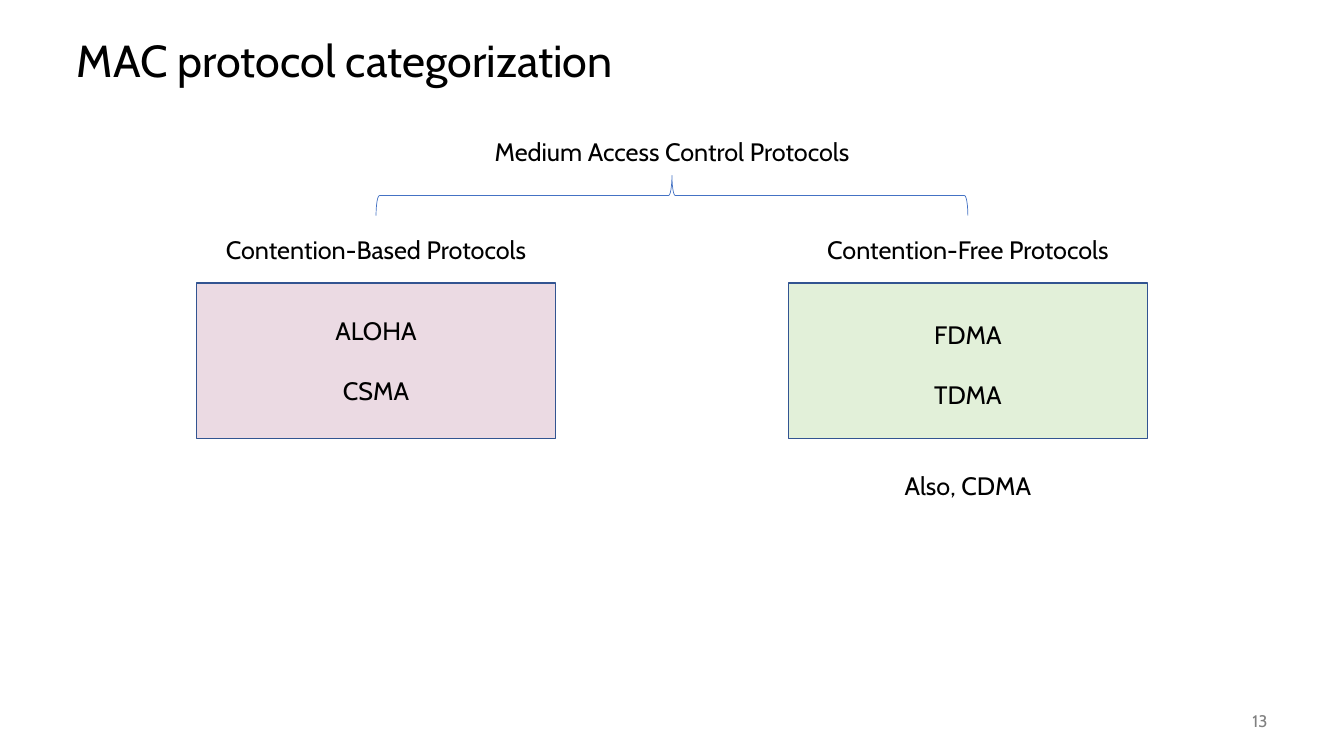
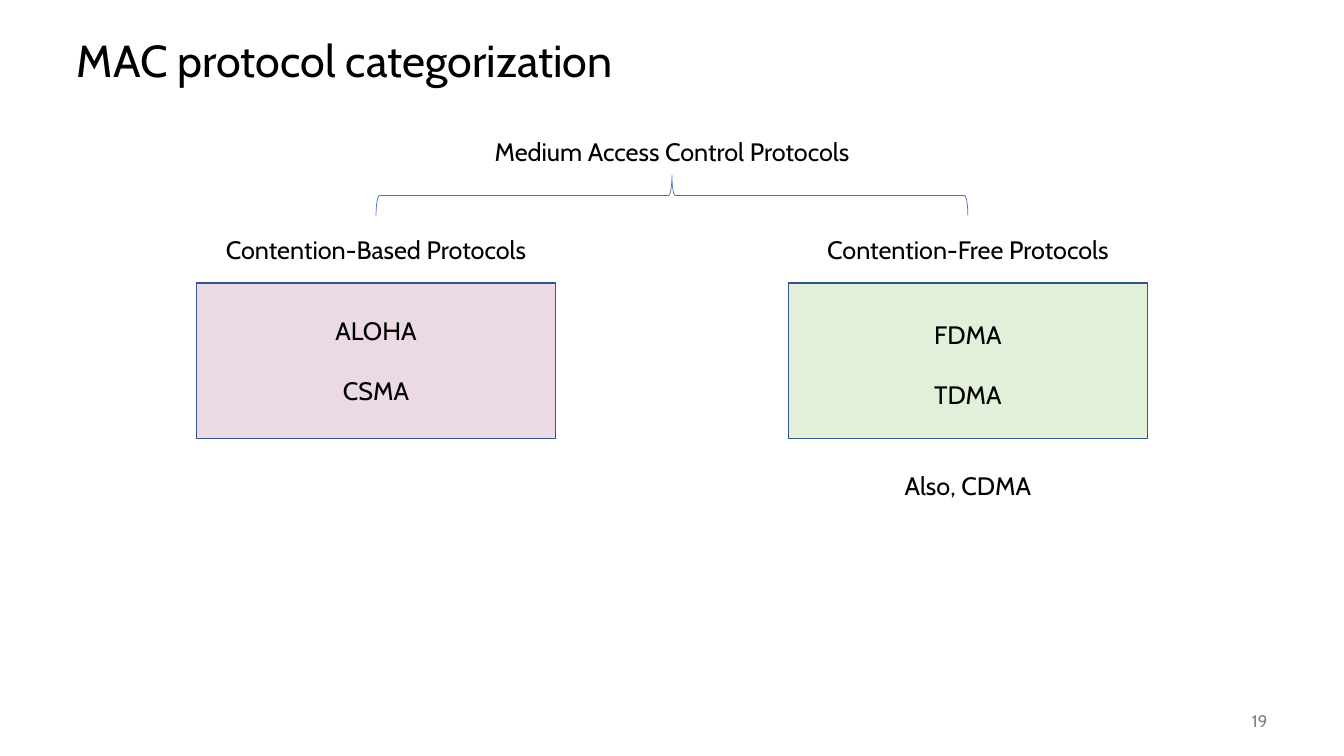
"""Build two slides that sort MAC protocols into contention-based and contention-free."""
import pptx
import pptx.util
import pptx.dml.color
import pptx.enum.shapes
import pptx.enum.text

Inches, Pt = pptx.util.Inches, pptx.util.Pt
RGBColor = pptx.dml.color.RGBColor
SHAPE = pptx.enum.shapes.MSO_SHAPE
ALIGN = pptx.enum.text.PP_ALIGN
ANCHOR = pptx.enum.text.MSO_ANCHOR
AUTO_SIZE = pptx.enum.text.MSO_AUTO_SIZE

BLACK = RGBColor(0x00, 0x00, 0x00)
GRAY = RGBColor(0x80, 0x80, 0x80)
PINK = RGBColor(0xEB, 0xDA, 0xE3)
GREEN = RGBColor(0xE2, 0xF0, 0xD9)
NAVY = RGBColor(0x32, 0x54, 0x91)
BLUE = RGBColor(0x44, 0x72, 0xC4)
FONT = "Cabin"

TITLE = "MAC protocol categorization"
ROOT = "Medium Access Control Protocols"
PAGE_NUMBERS = ["13", "19"]
LINE = 21.5
GROUPS = [
    {"label": "Contention-Based Protocols", "center": 3.73, "fill": PINK,
     "top": 3.08, "height": 1.01, "items": ["ALOHA", "CSMA"], "gaps": [0, LINE]},
    {"label": "Contention-Free Protocols", "center": 9.6, "fill": GREEN,
     "top": 3.12, "height": 1.92, "items": ["FDMA", "TDMA", "Also, CDMA"],
     "gaps": [0, LINE, 2 * LINE]},
]

BOX_W, BOX_H, BOX_TOP = 3.56, 1.54, 2.81
LABEL_W, LABEL_H = 4.3, 0.4
BRACE_DEPTH, BRACE_Y = 0.4, 1.94


def format_text(tf, size, color, align):
    """Apply the shared font and the given size, colour and alignment."""
    for p in tf.paragraphs:
        p.alignment = align
        for r in p.runs:
            r.font.name, r.font.size = FONT, Pt(size)
            r.font.color.rgb = color


def add_text(slide, lines, left, top, width, height,
             size=18, color=BLACK, align=ALIGN.CENTER):
    """Add a wrapped text box with one paragraph per line."""
    box = slide.shapes.add_textbox(Inches(left), Inches(top), Inches(width), Inches(height))
    tf = box.text_frame
    tf.word_wrap = True
    tf.text = "\n".join(lines)
    format_text(tf, size, color, align)
    return tf


def add_outline(slide, kind, left, top, width, height, color, weight):
    """Add an unfilled preset shape with a coloured outline."""
    sp = slide.shapes.add_shape(kind, Inches(left), Inches(top), Inches(width), Inches(height))
    sp.shadow.inherit = False
    sp.fill.background()
    sp.line.color.rgb = color
    sp.line.width = Pt(weight)
    return sp


def add_frame(slide, number):
    """Fill the title and the page number."""
    title = slide.shapes.title
    title.left, title.top = Inches(0.66), Inches(0.25)
    title.width, title.height = Inches(12), Inches(0.75)
    tf = title.text_frame
    tf.text = TITLE
    tf.auto_size = AUTO_SIZE.NONE
    tf.vertical_anchor = ANCHOR.MIDDLE
    tf.paragraphs[0].line_spacing = 0.9
    format_text(tf, 32, BLACK, ALIGN.LEFT)
    tf = add_text(slide, [number], 11.67, 6.95, 1, 0.4, 12, GRAY, ALIGN.RIGHT)
    tf.vertical_anchor = ANCHOR.MIDDLE


def add_group(slide, group):
    """Add one protocol family: label, coloured box and its members."""
    center = group["center"]
    left = center - BOX_W / 2
    sp = add_outline(slide, SHAPE.RECTANGLE, left, BOX_TOP, BOX_W, BOX_H, NAVY, 1)
    sp.fill.solid()
    sp.fill.fore_color.rgb = group["fill"]
    add_text(slide, [group["label"]], center - LABEL_W / 2, 2.28, LABEL_W, LABEL_H)
    tf = add_text(slide, group["items"], left, group["top"], BOX_W, group["height"])
    for p, gap in zip(tf.paragraphs, group["gaps"]):
        if gap:
            p.space_before = Pt(gap)


def add_root(slide):
    """Add the root label and the brace that spans the group centres."""
    first, last = (group["center"] for group in GROUPS)
    middle, span = (first + last) / 2, last - first
    add_text(slide, [ROOT], middle - LABEL_W / 2, 1.3, LABEL_W, LABEL_H)
    brace = add_outline(slide, SHAPE.RIGHT_BRACE, middle - BRACE_DEPTH / 2,
                        BRACE_Y - span / 2, BRACE_DEPTH, span, BLUE, 0.5)
    brace.rotation = 270


def main():
    """Build and save the deck."""
    prs = pptx.Presentation()
    prs.slide_width, prs.slide_height = Inches(13.33), Inches(7.5)
    for number in PAGE_NUMBERS:
        slide = prs.slides.add_slide(prs.slide_layouts[5])
        add_frame(slide, number)
        for group in GROUPS:
            add_group(slide, group)
        add_root(slide)
    prs.save("out.pptx")


if __name__ == "__main__":
    main()
